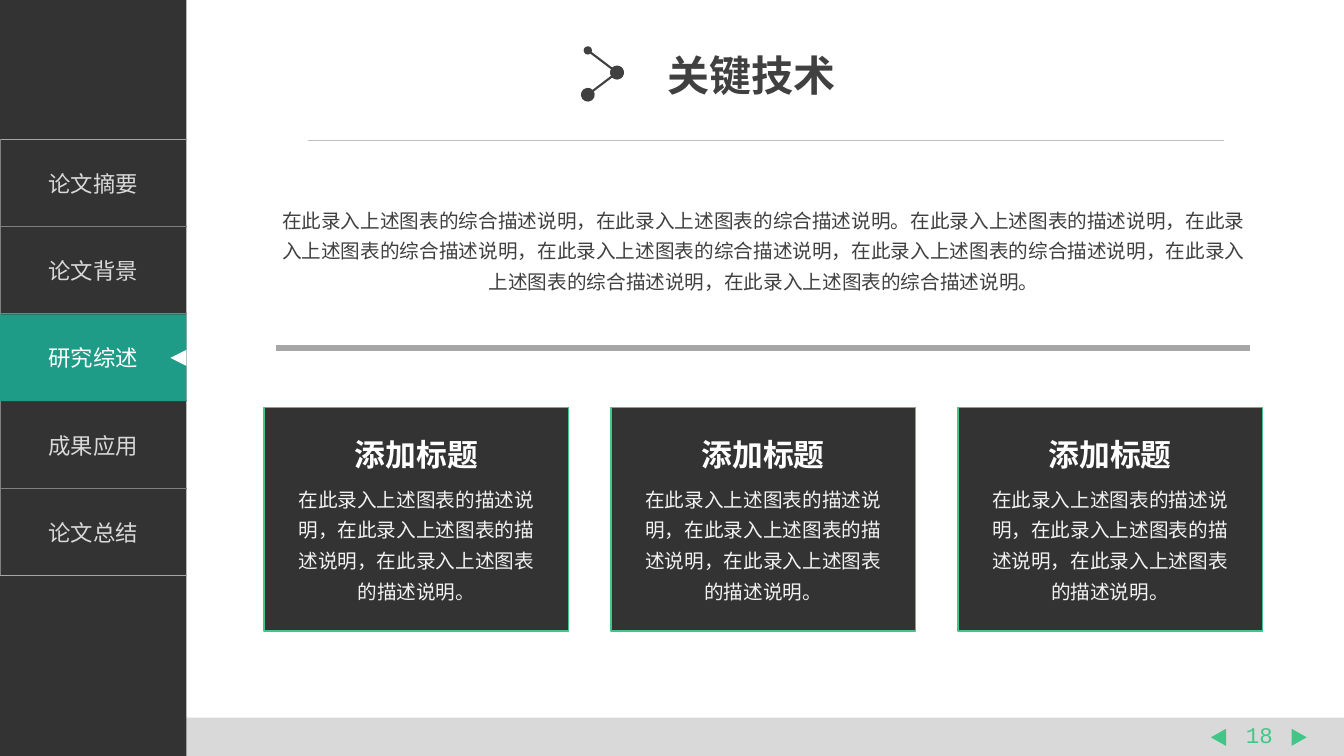
from dataclasses import dataclass

from lxml.etree import SubElement
from pptx import Presentation
from pptx.dml.color import RGBColor
from pptx.enum.shapes import MSO_CONNECTOR as Connector, MSO_SHAPE as Shape
from pptx.enum.text import MSO_ANCHOR as Anchor, MSO_AUTO_SIZE as AutoSize, PP_ALIGN as Align
from pptx.oxml import parse_xml
from pptx.oxml.ns import nsdecls, qn
from pptx.util import Inches, Pt


@dataclass(frozen=True)
class Theme:
    dark: str = "333333"
    ink: str = "404040"
    green: str = "42C687"
    teal: str = "1E9C87"
    white: str = "FFFFFF"
    pale: str = "F2F2F2"
    light: str = "D9D9D9"
    rule: str = "BFBFBF"
    bar: str = "A6A6A6"
    border: str = "808080"
    cjk: str = "Noto Sans CJK SC"
    latin: str = "Arial"
    mono: str = "Courier New"
    title: int = 30
    heading: int = 22
    menu: int = 16
    body: int = 14


theme = Theme()
color = RGBColor.from_string

presentation = Presentation()
presentation.slide_width = Inches(13.33)
presentation.slide_height = Inches(7.5)
slide = presentation.slides.add_slide(presentation.slide_layouts[6])
shapes = slide.shapes


def add_block(kind, left, top, width, height, fill, line=None, rotation=0):
    shape = shapes.add_shape(kind, Inches(left), Inches(top), Inches(width), Inches(height))
    shape.shadow.inherit = False
    shape.rotation = rotation
    shape.fill.solid()
    shape.fill.fore_color.rgb = color(fill)
    if line:
        shape.line.color.rgb = color(line)
        shape.line.width = Pt(1)
    else:
        shape.line.fill.background()
    return shape


def write(frame, text, size, ink, font=theme.cjk, bold=False, align=Align.CENTER, spacing=None):
    paragraph = frame.paragraphs[0]
    paragraph.text = text
    paragraph.alignment = align
    if spacing:
        paragraph.line_spacing = spacing
    paragraph.font.size = Pt(size)
    paragraph.font.bold = bold
    paragraph.font.color.rgb = color(ink)
    paragraph.font.name = font
    defaults = paragraph._p.pPr.find(qn("a:defRPr"))
    SubElement(defaults, qn("a:ea"), typeface=theme.cjk)


add_block(Shape.RECTANGLE, 0, 7.12, 13.33, 0.38, theme.light)
add_block(Shape.RECTANGLE, 0, 0, 1.85, 7.5, theme.dark)

menu = ["论文摘要", "论文背景", "研究综述", "成果应用", "论文总结"]
menu_table = shapes.add_table(
    len(menu), 1, Inches(0), Inches(1.38), Inches(1.85), Inches(4.33)).table
menu_table.first_row = False
menu_table.horz_banding = False
for row, label in enumerate(menu):
    cell = menu_table.cell(row, 0)
    cell.vertical_anchor = Anchor.MIDDLE
    write(cell.text_frame, label, theme.menu, theme.light)
    cell.fill.background()
    edges = {
        "lnL": theme.border,
        "lnR": None,
        "lnT": theme.bar if row == 0 else theme.border,
        "lnB": theme.bar if row == len(menu) - 1 else theme.border,
    }
    for position, (edge, ink) in enumerate(edges.items()):
        paint = f'<a:solidFill><a:srgbClr val="{ink}"/></a:solidFill>' if ink else "<a:noFill/>"
        cell._tc.tcPr.insert(position, parse_xml(
            f'<a:{edge} {nsdecls("a")} w="{Pt(1)}">{paint}</a:{edge}>'))

active = add_block(Shape.RECTANGLE, 0, 3.12, 1.85, 0.86, theme.teal)
active.text_frame.vertical_anchor = Anchor.MIDDLE
write(active.text_frame, menu[2], theme.menu, theme.white)
add_block(Shape.ISOSCELES_TRIANGLE, 1.69, 3.47, 0.16, 0.16, theme.white, rotation=270)

for left, rotation in [(12, 270), (12.8, 90)]:
    add_block(Shape.ISOSCELES_TRIANGLE, left, 7.24, 0.17, 0.15, theme.green, rotation=rotation)

lines = [
    (3.05, 1.39, 12.14, 1.39, theme.rule, 0.5, None),
    (2.74, 3.45, 12.4, 3.45, theme.bar, 4.5, None),
    (5.83, 0.5, 6.12, 0.72, theme.ink, 1.5, ("med", "lg")),
    (6.12, 0.72, 5.83, 0.94, theme.ink, 1.5, ("lg", "lg")),
]
for x1, y1, x2, y2, ink, width, dots in lines:
    connector = shapes.add_connector(
        Connector.STRAIGHT, Inches(x1), Inches(y1), Inches(x2), Inches(y2))
    connector.line.color.rgb = color(ink)
    connector.line.width = Pt(width)
    properties = connector._element.spPr
    if dots:
        for end, size in zip(("headEnd", "tailEnd"), dots):
            SubElement(properties.find(qn("a:ln")), qn(f"a:{end}"), type="oval", w=size, len=size)
    SubElement(properties, qn("a:effectLst"))

summary = (
    "在此录入上述图表的综合描述说明，在此录入上述图表的综合描述说明。"
    "在此录入上述图表的描述说明，"
    + "在此录入上述图表的综合描述说明，" * 4
    + "在此录入上述图表的综合描述说明。"
)
card_text = "在此录入上述图表的描述说明，" * 2 + "在此录入上述图表的描述说明。"

body = dict(size=theme.body, spacing=1.3)
texts = [
    (6.52, 0.44, 1.88, 0.61, False, dict(
        text="关键技术", size=theme.title, ink=theme.ink, font=theme.latin,
        bold=True, align=Align.LEFT)),
    (2.62, 1.95, 9.91, 1.02, True, dict(text=summary, ink=theme.ink, **body)),
    (12.25, 7.11, 0.48, 0.37, False, dict(
        text="18", size=theme.menu, ink=theme.green, font=theme.mono)),
]
for column in range(3):
    left = 2.62 + 3.44 * column
    add_block(Shape.RECTANGLE, left, 4.04, 3.02, 2.22, theme.dark, theme.green)
    texts += [
        (left + 0.79, 4.27, 1.44, 0.47, False, dict(
            text="添加标题", size=theme.heading, ink=theme.white, bold=True)),
        (left + 0.18, 4.72, 2.66, 1.33, True, dict(text=card_text, ink=theme.pale, **body)),
    ]

for left, top, width, height, wrap, style in texts:
    box = shapes.add_textbox(Inches(left), Inches(top), Inches(width), Inches(height))
    box.text_frame.word_wrap = wrap
    box.text_frame.auto_size = AutoSize.SHAPE_TO_FIT_TEXT
    write(box.text_frame, **style)

presentation.save("out.pptx")
